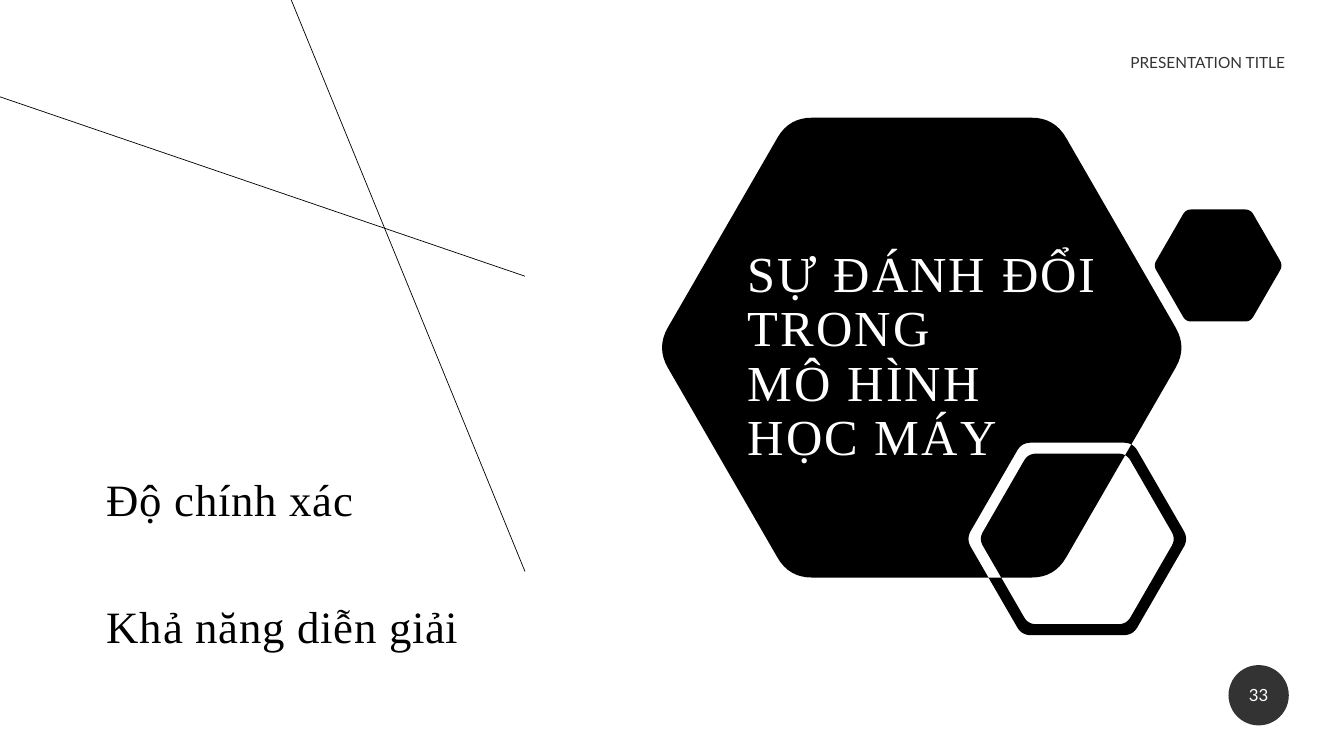
import math

import pptx
import pptx.dml.color
import pptx.enum.shapes
import pptx.enum.text
import pptx.oxml.ns
import pptx.util
from lxml import etree
from pptx.util import Cm

COLORS = {"ink": "000000", "soft": "333333", "paper": "FFFFFF"}
SERIF = "Times New Roman"
SANS = "Lato"
ALIGN = pptx.enum.text.PP_ALIGN
ANCHOR = pptx.enum.text.MSO_ANCHOR

# Rounded hexagons in cm: centre x, centre y, radius, corner cut
HEXAGONS = [
    (23.23, 8.76, 6.69, 0.58),   # title hexagon
    (30.7, 6.69, 1.63, 0.14),    # small hexagon
    (27.15, 13.58, 2.8, 0.23),   # ring, outer edge
    (27.15, 13.58, 2.48, 0.2),   # ring, inner edge
]


def rgb(name):
    return pptx.dml.color.RGBColor.from_string(COLORS[name])


def place(shape, left, top, width, height):
    shape.left, shape.top = Cm(left), Cm(top)
    shape.width, shape.height = Cm(width), Cm(height)


def set_frame(shape, anchor):
    frame = shape.text_frame
    frame.word_wrap = True
    frame.auto_size = pptx.enum.text.MSO_AUTO_SIZE.NONE
    frame.vertical_anchor = anchor
    return frame


def format_paragraph(paragraph, font_name, size, color, align, tracking=0):
    paragraph.alignment = align
    paragraph.font.name = font_name
    paragraph.font.size = pptx.util.Pt(size)
    paragraph.font.color.rgb = rgb(color)
    if tracking:
        for run in paragraph.runs:
            run.font._element.set("spc", str(round(tracking * 100)))


def remove_bullet(paragraph):
    properties = paragraph._p.get_or_add_pPr()
    properties.set("marL", "0")
    properties.set("indent", "0")
    etree.SubElement(properties, pptx.oxml.ns.qn("a:buNone"))


def add_thin_line(slide, start, end):
    line = slide.shapes.add_connector(
        pptx.enum.shapes.MSO_CONNECTOR.STRAIGHT, *map(Cm, start + end))
    line.line.color.rgb = rgb("ink")
    line.line.width = pptx.util.Pt(0.5)
    etree.SubElement(line._element.spPr, pptx.oxml.ns.qn("a:effectLst"))


def hexagon_outline(center_x, center_y, radius, cut, steps=8):
    """Points of a flat-topped hexagon whose corners are quadratic curves."""
    corners = [(center_x + radius * math.cos(k * math.pi / 3),
                center_y + radius * math.sin(k * math.pi / 3)) for k in range(6)]
    share = cut / radius
    points = []
    for k, corner in enumerate(corners):
        before, after = corners[k - 1], corners[(k + 1) % 6]
        for step in range(steps + 1):
            t = step / steps
            to_before, to_after = share * (1 - t) ** 2, share * t ** 2
            points.append(tuple(
                Cm(c + to_before * (b - c) + to_after * (a - c))
                for b, c, a in zip(before, corner, after)))
    return points


def add_hexagon_cluster(slide):
    """One shape with all outlines: the ring inverts where it overlaps."""
    outlines = [hexagon_outline(*hexagon) for hexagon in HEXAGONS]
    builder = slide.shapes.build_freeform(*outlines[0][0])
    for outline in outlines:
        builder.move_to(*outline[0])
        builder.add_line_segments(outline[1:], close=True)
    cluster = builder.convert_to_shape()
    cluster.shadow.inherit = False
    cluster.fill.solid()
    cluster.fill.fore_color.rgb = rgb("ink")
    cluster.line.fill.background()


def add_header(slide, text):
    header = slide.shapes.add_textbox(Cm(21.87), Cm(1.07), Cm(10.77), Cm(1.02))
    frame = set_frame(header, ANCHOR.MIDDLE)
    frame.text = text
    format_paragraph(frame.paragraphs[0], SANS, 11, "soft", ALIGN.RIGHT)


def add_page_badge(slide, number):
    badge = slide.shapes.add_shape(
        pptx.enum.shapes.MSO_SHAPE.OVAL, Cm(30.96), Cm(16.76), Cm(1.52), Cm(1.52))
    badge.shadow.inherit = False
    badge.fill.solid()
    badge.fill.fore_color.rgb = rgb("soft")
    badge.line.fill.background()
    frame = set_frame(badge, ANCHOR.MIDDLE)
    frame.margin_left = frame.margin_right = 0
    frame.text = number
    format_paragraph(frame.paragraphs[0], SANS, 12, "paper", ALIGN.CENTER)


def fill_criteria(body, criteria):
    place(body, 2.44, 11.91, 16.15, 5.61)
    frame = set_frame(body, ANCHOR.TOP)
    frame.text = "\n".join(criteria)
    for index, paragraph in enumerate(frame.paragraphs):
        paragraph.line_spacing = 0.9
        paragraph.space_before = pptx.util.Pt(56 if index else 0)
        remove_bullet(paragraph)
        format_paragraph(paragraph, SERIF, 32, "ink", ALIGN.LEFT, 0.5)


def fill_title(slide, text):
    title = slide.shapes.title
    place(title, 18.59, 2.82, 9.65, 9.07)
    frame = set_frame(title, ANCHOR.BOTTOM)
    frame.text = text
    heading = frame.paragraphs[0]
    heading.line_spacing = 0.9
    format_paragraph(heading, SERIF, 36, "paper", ALIGN.LEFT, 1.5)
    # The title lies in front of the hexagons
    slide.shapes._spTree.append(title._element)


def main():
    presentation = pptx.Presentation()
    presentation.slide_width, presentation.slide_height = Cm(33.87), Cm(19.05)
    slide = presentation.slides.add_slide(presentation.slide_layouts[1])

    # Crossing lines at the upper left
    add_thin_line(slide, (13.23, 6.96), (0, 2.44))
    add_thin_line(slide, (13.23, 14.4), (7.34, 0))

    # Criteria, header, hexagons and page number
    fill_criteria(slide.placeholders[1], ["Độ chính xác", "Khả năng diễn giải"])
    add_header(slide, "PRESENTATION TITLE")
    add_hexagon_cluster(slide)
    add_page_badge(slide, "33")

    # Title
    fill_title(slide, "SỰ ĐÁNH ĐỔI TRONG\vMÔ HÌNH\vHỌC MÁY")

    presentation.save("out.pptx")


if __name__ == "__main__":
    main()
